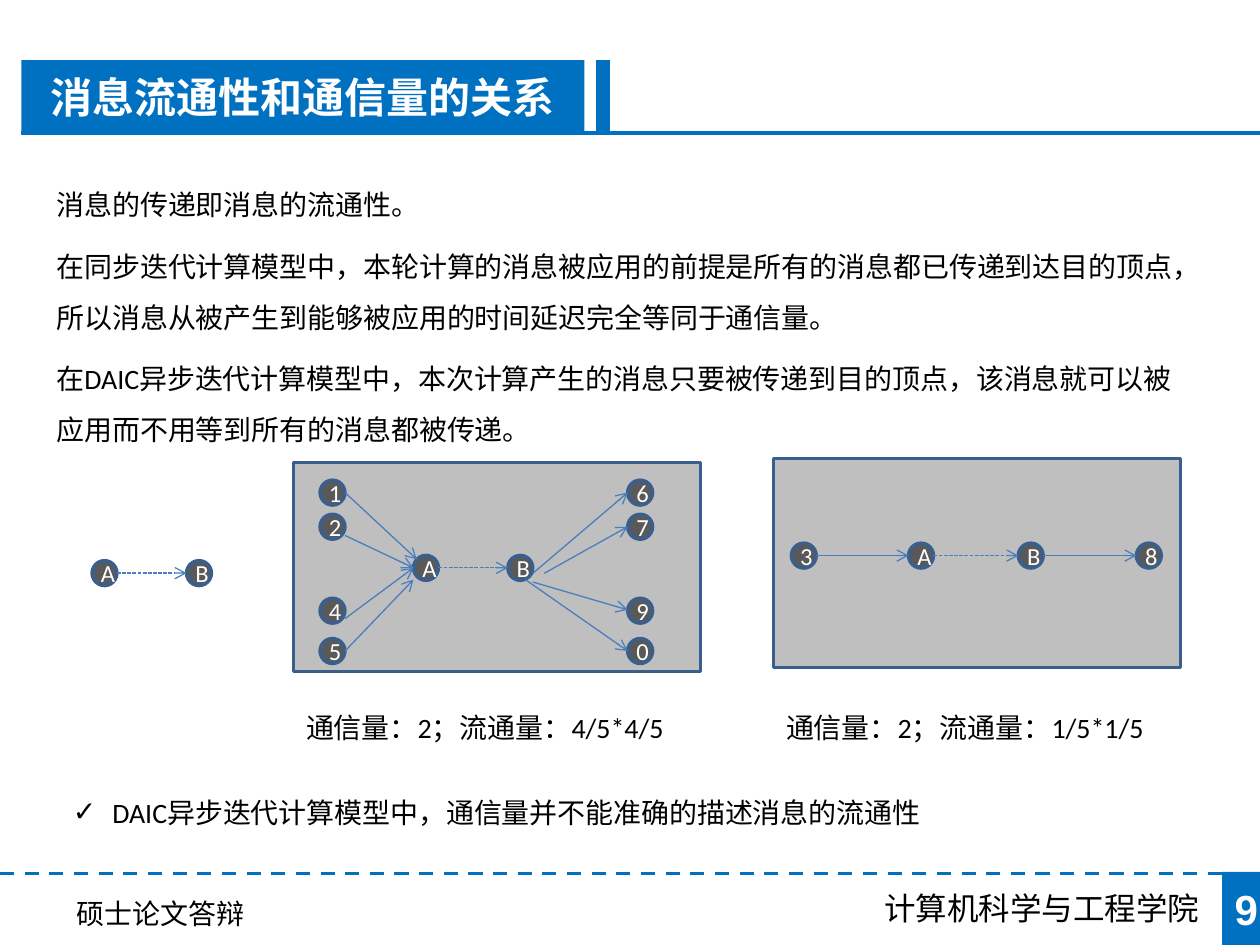
from lxml import etree
from pptx import Presentation
from pptx.dml.color import RGBColor
from pptx.enum.dml import MSO_LINE
from pptx.enum.shapes import MSO_CONNECTOR, MSO_SHAPE
from pptx.enum.text import PP_ALIGN
from pptx.oxml.ns import qn
from pptx.util import Pt

RECT = MSO_SHAPE.RECTANGLE
DISC = MSO_SHAPE.FLOWCHART_CONNECTOR
LINE = MSO_CONNECTOR.STRAIGHT
DASH, DOTS = MSO_LINE.DASH, MSO_LINE.SQUARE_DOT
CENTER = PP_ALIGN.CENTER
HAN = "Noto Sans CJK SC"
HEX = {"blue": "0070C0", "panel": "BFBFBF", "edge": "3A5F8C", "node": "595959",
       "arrow": "4B7EBC", "black": "000000", "white": "FFFFFF"}

TITLE = "消息流通性和通信量的关系"
PAGE = "9"
# top, height, text
BODY = [
    (94.3, 33, "消息的传递即消息的流通性。"),
    (129.6, 62, "在同步迭代计算模型中，本轮计算的消息被应用的前提是所有的消息都已传递到达目的顶点，"
                "所以消息从被产生到能够被应用的时间延迟完全等同于通信量。"),
    (193.7, 62, "在DAIC异步迭代计算模型中，本次计算产生的消息只要被传递到目的顶点，"
                "该消息就可以被应用而不用等到所有的消息都被传递。"),
]
POINT = "DAIC异步迭代计算模型中，通信量并不能准确的描述消息的流通性"
# left, top, caption
PANELS = [(442.1, 262.1, "通信量：2；流通量：1/5*1/5"),
          (167.8, 264.2, "通信量：2；流通量：4/5*4/5")]
PANEL_W, PANEL_H = 232.6, 119.5
# left, top, width, height, text, size, font
FOOT = [(498.2, 504.7, 196.6, 28.8, "计算机科学与工程学院", 18, "Noto Sans CJK JP"),
        (36.7, 509, 111.6, 26.6, "硕士论文答辩", 16, HAN)]

RADIUS = 7.1
FAN_Y = (281.5, 301, 349, 372)
FANS = [(190, "1245"), (365.8, "6790")]
# centre height, then (label, centre x) from left to right
CHAINS = [(327.5, [("A", 59.7), ("B", 113.7)]),
          (324.5, [("A", 243.4), ("B", 297.3)]),
          (317.5, [("3", 459.3), ("A", 526.3), ("B", 589), ("8", 656.5)])]
IN_X, OUT_X = 197.2, 358.7
# start and end of each slanted arrow
RAYS = [((IN_X, 281.5), (238.3, 319.7)), ((IN_X, 306), (236.3, 324.5)),
        ((IN_X, 353.5), (236.3, 324.5)), ((IN_X, 372), (236.3, 331.2)),
        ((304.5, 327.6), (OUT_X, 281.5)), ((311, 327.6), (OUT_X, 301)),
        ((304.5, 332.6), (OUT_X, 348.5)), ((300.2, 331.2), (OUT_X, 372))]

deck = Presentation()
deck.slide_width, deck.slide_height = Pt(720), Pt(540)
slide = deck.slides.add_slide(deck.slide_layouts[6])
shapes = slide.shapes


def rgb(name):
    return RGBColor.from_string(HEX[name])


def write(shape, text, size, color="black", font="Calibri", bold=False, han=HAN):
    para = shape.text_frame.paragraphs[0]
    run = para.add_run()
    run.text = text
    run.font.size, run.font.bold = Pt(size), bold
    run.font.color.rgb = rgb(color)
    run.font.name = font
    etree.SubElement(run.font._element, qn("a:ea"), typeface=han)
    return para


def block(kind, left, top, width, height, fill, edge=None):
    shape = shapes.add_shape(kind, Pt(left), Pt(top), Pt(width), Pt(height))
    shape.shadow.inherit = False
    shape.fill.solid()
    shape.fill.fore_color.rgb = rgb(fill)
    if edge:
        shape.line.color.rgb = rgb(edge)
        shape.line.width = Pt(2)
    else:
        shape.line.fill.background()
    return shape


def label(shape, text, size, font="Calibri", bold=False):
    write(shape, text, size, "white", font, bold).alignment = CENTER


def box(left, top, width, height, wrap=True):
    shape = shapes.add_textbox(Pt(left), Pt(top), Pt(width), Pt(height))
    shape.text_frame.word_wrap = wrap
    return shape


def rule(start, end, color, width, dash=None, head=False):
    line = shapes.add_connector(LINE, *(Pt(v) for v in start + end))
    line.line.color.rgb = rgb(color)
    line.line.width = Pt(width)
    if dash:
        line.line.dash_style = dash
    if head:
        etree.SubElement(line.line._get_or_add_ln(), qn("a:tailEnd"), type="arrow")
    etree.SubElement(line._element.spPr, qn("a:effectLst"))


def arrow(start, end, dash=None):
    rule(start, end, "arrow", 0.75, dash, True)


def node(x, y, text):
    disc = block(DISC, x - RADIUS, y - RADIUS, 2 * RADIUS, 2 * RADIUS, "node", "edge")
    label(disc, text, 14)


# Footer
for left, top, width, height, text, size, font in FOOT:
    write(box(left, top, width, height, False), text, size, font=font, han=font)
rule((0, 499.2), (720, 499.2), "blue", 2, DASH)
label(block(RECT, 698.4, 498.2, 21.6, 41.8, "blue"), PAGE, 24, "Arial", True)

# Title bar
label(block(RECT, 12.2, 34.4, 321.8, 42, "blue"), TITLE, 24, "Arial", True)
block(RECT, 340.6, 34.4, 7.9, 42, "blue")
rule((12.2, 76), (732, 76), "blue", 2)

# Text
for top, height, text in BODY:
    write(box(25.2, top, 663.1, height), text, 16).line_spacing = 1.5
para = write(box(34.6, 441.4, 663.1, 36), POINT, 16)
para.line_spacing = 1.5
props = para._p.get_or_add_pPr()
props.set("marL", str(Pt(22.5)))
props.set("indent", str(-Pt(22.5)))
etree.SubElement(props, qn("a:buFont"), typeface="Arial")
etree.SubElement(props, qn("a:buChar"), char="✓")

# Panels with captions
for left, top, text in PANELS:
    block(RECT, left, top, PANEL_W, PANEL_H, "panel", "edge")
    write(box(left, 393.1, PANEL_W, 36), text, 16).line_spacing = 1.5

# Graphs
for x, names in FANS:
    for y, name in zip(FAN_Y, names):
        node(x, y, name)
for y, chain in CHAINS:
    for name, x in chain:
        node(x, y, name)
    for (name, x), (_, after) in zip(chain, chain[1:]):
        arrow((x + RADIUS, y), (after - RADIUS, y), DOTS if name == "A" else None)
for start, end in RAYS:
    arrow(start, end)

deck.save("out.pptx")
